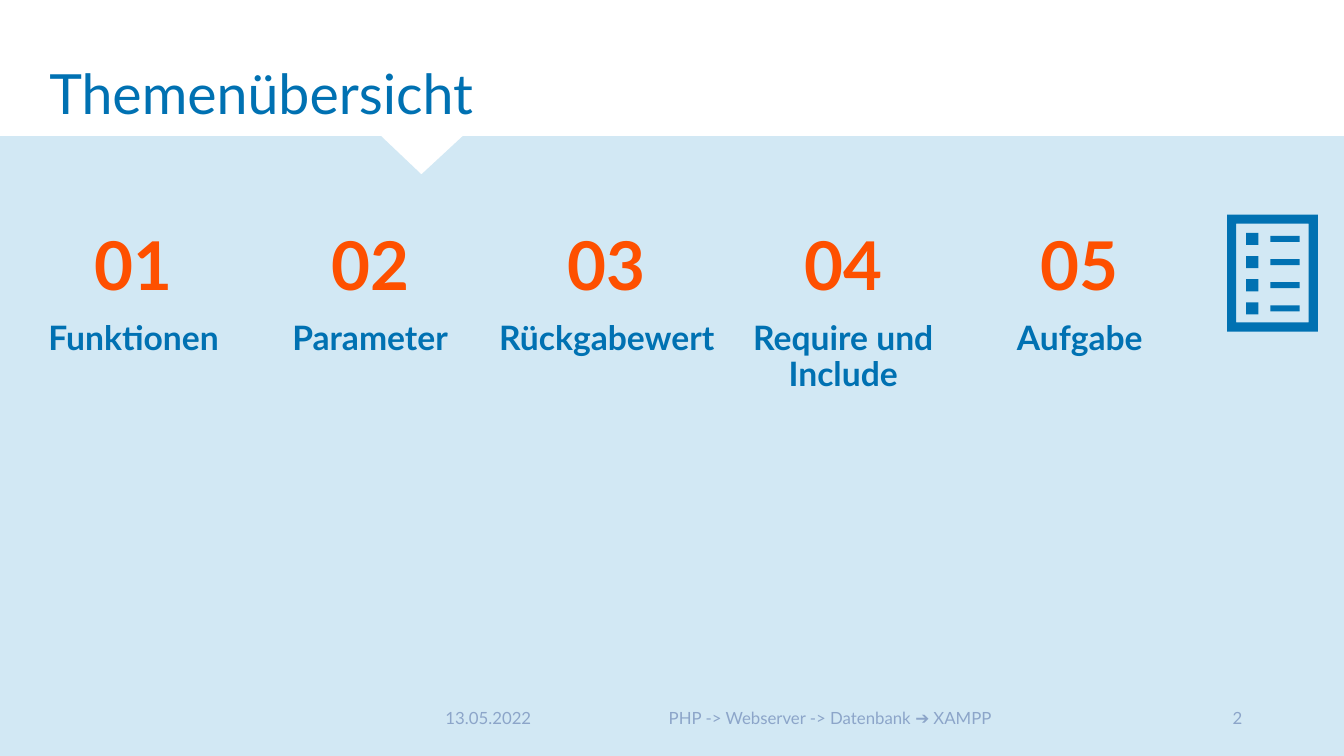
from pptx import Presentation
from pptx.dml.color import RGBColor
from pptx.enum.shapes import MSO_SHAPE
from pptx.enum.text import MSO_ANCHOR, PP_ALIGN
from pptx.util import Inches, Pt

COLORS = {"blue": "0071B2", "orange": "FE5000", "panel": "D2E8F4", "footer": "8CA5C9"}
TOPICS = ["Funktionen", "Parameter", "Rückgabewert", "Require und\vInclude", "Aufgabe"]


def paint(shape, color):
    """Give a shape a plain fill without line or shadow."""
    shape.shadow.inherit = False
    shape.fill.solid()
    shape.fill.fore_color.rgb = RGBColor.from_string(COLORS[color])
    shape.line.fill.background()


def add_text(slide, text, left, top, width, height, size, color, bold=False,
             align=PP_ALIGN.LEFT, anchor=MSO_ANCHOR.TOP, spacing=1.0):
    """Add a wrapped text box with one formatted paragraph."""
    box = slide.shapes.add_textbox(Inches(left), Inches(top), Inches(width), Inches(height))
    frame = box.text_frame
    frame.word_wrap = True
    frame.vertical_anchor = anchor
    paragraph = frame.paragraphs[0]
    paragraph.text = text
    paragraph.alignment = align
    paragraph.line_spacing = spacing
    for run in paragraph.runs:
        run.font.name = "Lato"
        run.font.size = Pt(size)
        run.font.bold = bold
        run.font.color.rgb = RGBColor.from_string(COLORS[color])


def add_panel(slide, left, top, width, height):
    """Draw the pale panel with a notch in its upper edge."""
    right, bottom = left + width, top + height
    outline = [(left + 3.78, top), (left + 4.18, top + 0.38), (left + 4.59, top),
               (right, top), (right, bottom), (left, bottom)]
    builder = slide.shapes.build_freeform(Inches(left), Inches(top))
    builder.add_line_segments([(Inches(x), Inches(y)) for x, y in outline], close=True)
    paint(builder.convert_to_shape(), "panel")


def add_topics(slide, left, top, width):
    """Place the numbered topics in columns of equal pitch."""
    pitch = width / len(TOPICS)
    for index, topic in enumerate(TOPICS):
        column = left + index * pitch
        add_text(slide, f"{index + 1:02}", column, top, 2.35, 0.77, size=48,
                 color="orange", bold=True, align=PP_ALIGN.CENTER, spacing=0.8)
        add_text(slide, topic, column, top + 0.82, 2.35, 0.88, size=24,
                 color="blue", bold=True, align=PP_ALIGN.CENTER, spacing=0.9)


def add_list_icon(slide, left, top, width, height):
    """Draw a framed checklist with four rows as one group."""
    group = slide.shapes.add_group_shape()

    def add_part(kind, x, y, part_width, part_height):
        """Add one blue part of the icon."""
        part = group.shapes.add_shape(kind, Inches(left + x), Inches(top + y),
                                      Inches(part_width), Inches(part_height))
        paint(part, "blue")
        return part

    frame = add_part(MSO_SHAPE.FRAME, 0, 0, width, height)
    frame.adjustments[0] = 0.1
    for row in range(4):
        y = 0.18 + row * 0.23
        add_part(MSO_SHAPE.RECTANGLE, 0.19, y, 0.12, 0.12)
        add_part(MSO_SHAPE.RECTANGLE, 0.43, y + 0.03, 0.29, 0.06)


def add_footer(slide, left, top, height):
    """Place date, subject and slide number side by side."""
    entries = [("13.05.2022", 1.55, PP_ALIGN.LEFT),
               ("PHP -> Webserver -> Datenbank ➔ XAMPP", 4.73, PP_ALIGN.CENTER),
               ("2", 1.82, PP_ALIGN.RIGHT)]
    for text, width, align in entries:
        add_text(slide, text, left, top, width, height, size=12, color="footer",
                 align=align, anchor=MSO_ANCHOR.MIDDLE)
        left += width


def main():
    """Build the topic overview slide and save it."""
    presentation = Presentation()
    presentation.slide_width = Inches(13.33)
    presentation.slide_height = Inches(7.5)
    slide = presentation.slides.add_slide(presentation.slide_layouts[6])
    add_panel(slide, 0, 1.35, 13.33, 6.15)
    add_text(slide, "Themenübersicht", 0.39, 0.61, 5.48, 0.74, size=39.6,
             color="blue", spacing=0.9)
    add_topics(slide, 0.15, 2.32, 11.73)
    add_list_icon(slide, 12.17, 2.13, 0.9, 1.16)
    add_footer(slide, 4.32, 6.9, 0.45)
    presentation.save("out.pptx")


if __name__ == "__main__":
    main()
